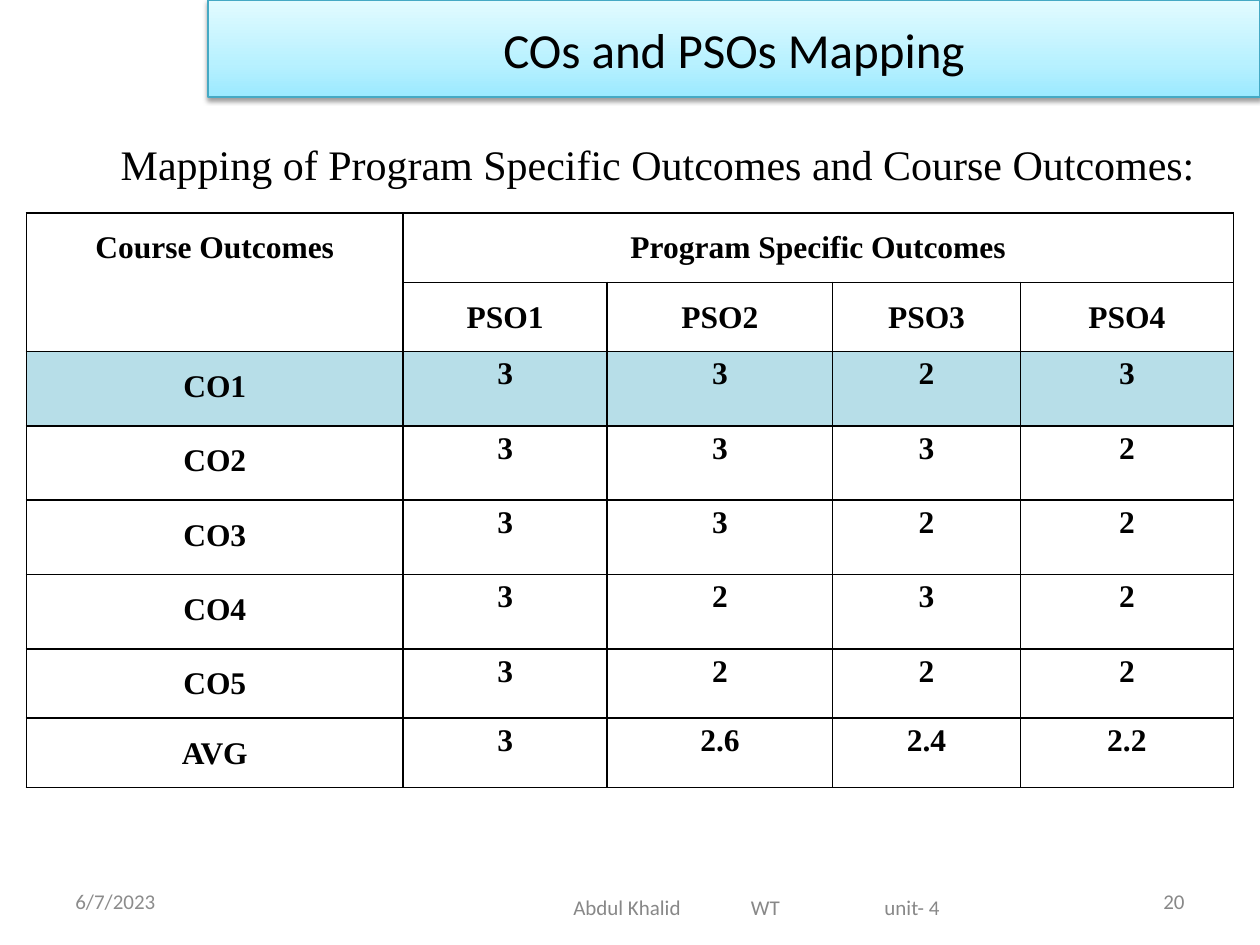
from pptx import Presentation
from pptx import util as u
from pptx.dml.color import RGBColor
from pptx.enum import shapes, text
from pptx.oxml import parse_xml
from pptx.oxml.ns import nsdecls

Inches = u.Inches
AL = text.PP_ALIGN
MID = text.MSO_ANCHOR.MIDDLE
SERIF = "Times New Roman"
GREY = "888888"

HEADS = ["PSO1", "PSO2", "PSO3", "PSO4"]
SCORES = [
    ("CO1", 3, 3, 2, 3),
    ("CO2", 3, 3, 3, 2),
    ("CO3", 3, 3, 2, 2),
    ("CO4", 3, 2, 3, 2),
    ("CO5", 3, 2, 2, 2),
    ("AVG", 3, 2.6, 2.4, 2.2),
]
COLS = [2.99, 1.62, 1.79, 1.49, 1.69]
ROWS = [0.55] * 2 + [0.59] * 4 + [0.55] * 2


def rgb(code):
    return RGBColor.from_string(code)


def xml(tag, inner, attrs=""):
    return parse_xml(f'<a:{tag} {nsdecls("a")} {attrs}>{inner}</a:{tag}>')


def solid(code, extra=""):
    return f'<a:srgbClr val="{code}">{extra}</a:srgbClr>'


def style(par, size, font, color, align=AL.LEFT, bold=False):
    par.alignment = align
    for run in par.runs:
        run.font.size = u.Pt(size)
        run.font.name = font
        run.font.bold = bold
        run.font.color.rgb = rgb(color)


def add_text(slide, box, words, size, font, color, align=AL.LEFT, anchor=MID):
    frame = slide.shapes.add_textbox(*map(Inches, box)).text_frame
    frame.word_wrap = True
    frame.vertical_anchor = anchor
    frame.text = words
    style(frame.paragraphs[0], size, font, color, align)
    return frame


def add_title(slide, box, words):
    bar = slide.shapes.add_shape(shapes.MSO_SHAPE.RECTANGLE, *map(Inches, box))
    bar.line.color.rgb = rgb("45A9C4")
    bar.line.width = u.Pt(0.75)
    # Three-stop gradient, rising from the bottom edge
    stops = [(0, "9BE9FF"), (35, "B8F1FF"), (100, "E2FBFF")]
    marks = "".join(f'<a:gs pos="{p * 1000}">{solid(c)}</a:gs>' for p, c in stops)
    fill = xml("gradFill", f'<a:gsLst>{marks}</a:gsLst><a:lin ang="16200000" scaled="0"/>',
               'rotWithShape="1"')
    props = bar._element.spPr
    props.insert(props.index(props.prstGeom) + 1, fill)
    # Soft shadow below the bar
    shade = solid("000000", '<a:alpha val="38000"/>')
    props.append(xml("effectLst", f'<a:outerShdw blurRad="{u.Pt(3.1)}" dist="{u.Pt(1.6)}" '
                     f'dir="5400000" rotWithShape="0">{shade}</a:outerShdw>'))
    frame = bar.text_frame
    frame.vertical_anchor = MID
    frame.text = words
    style(frame.paragraphs[0], 28, "Calibri", "000000", AL.CENTER)


def set_cell(cell, words, pad, fill=None):
    cell.text = words
    cell.margin_left = cell.margin_right = Inches(0.07)
    cell.margin_top = cell.margin_bottom = Inches(pad)
    par = cell.text_frame.paragraphs[0]
    par.line_spacing = 1.15
    style(par, 18, SERIF, "000000", AL.CENTER, True)
    props = cell._tc.get_or_add_tcPr()
    for side in ("lnL", "lnR", "lnT", "lnB"):
        props.append(xml(side, f'<a:solidFill>{solid("000000")}</a:solidFill>',
                         f'w="{u.Pt(1)}"'))
    if fill:
        cell.fill.solid()
        cell.fill.fore_color.rgb = rgb(fill)
    else:
        cell.fill.background()


def add_scores(slide, box):
    grid = slide.shapes.add_table(len(ROWS), len(COLS), *map(Inches, box)).table
    grid.first_row = grid.horz_banding = False
    for col, width in zip(grid.columns, COLS):
        col.width = Inches(width)
    for row, height in zip(grid.rows, ROWS):
        row.height = Inches(height)
    # Two header rows, then the scores
    lines = [("Course Outcomes", "Program Specific Outcomes", "", "", ""),
             ("", *HEADS), *SCORES]
    for r, line in enumerate(lines):
        for c, item in enumerate(line):
            pad = 0.1 if r < 2 or c == 0 else 0
            set_cell(grid.cell(r, c), str(item), pad, "B7DEE8" if r == 2 else None)
    grid.cell(0, 0).merge(grid.cell(1, 0))
    grid.cell(0, 1).merge(grid.cell(0, 4))


def add_footer(slide, box):
    left, top, width, height = box
    side = 2.33
    add_text(slide, (left, top, side, height), "6/7/2023", 12, "Calibri", "8C8C8C")
    add_text(slide, (left + width - side, top, side, height), "20", 12, "Calibri",
             GREY, AL.RIGHT)
    # Author, course and unit on tab stops
    frame = add_text(slide, (2.67, top + 0.05, 5.5, height),
                     "Abdul Khalid\tWT\tunit- 4", 12, "Calibri", GREY)
    frame.margin_left = Inches(1.88)
    tabs = "".join(f'<a:tab pos="{Inches(x)}" algn="l"/>' for x in (1.41, 2.47))
    frame.paragraphs[0]._p.get_or_add_pPr().append(xml("tabLst", tabs))


def main():
    deck = Presentation()
    deck.slide_width, deck.slide_height = Inches(10), Inches(7.5)
    slide = deck.slides.add_slide(deck.slide_layouts[6])
    add_title(slide, (1.65, 0, 8.35, 0.77), "COs and PSOs Mapping")
    add_scores(slide, (0.21, 1.69, sum(COLS), sum(ROWS)))
    add_text(slide, (0.86, 1.05, 9.15, 0.91),
             "Mapping of Program Specific Outcomes and Course Outcomes:",
             24, SERIF, "000000", anchor=text.MSO_ANCHOR.TOP)
    add_footer(slide, (0.5, 6.95, 9, 0.4))
    deck.save("out.pptx")


if __name__ == "__main__":
    main()
